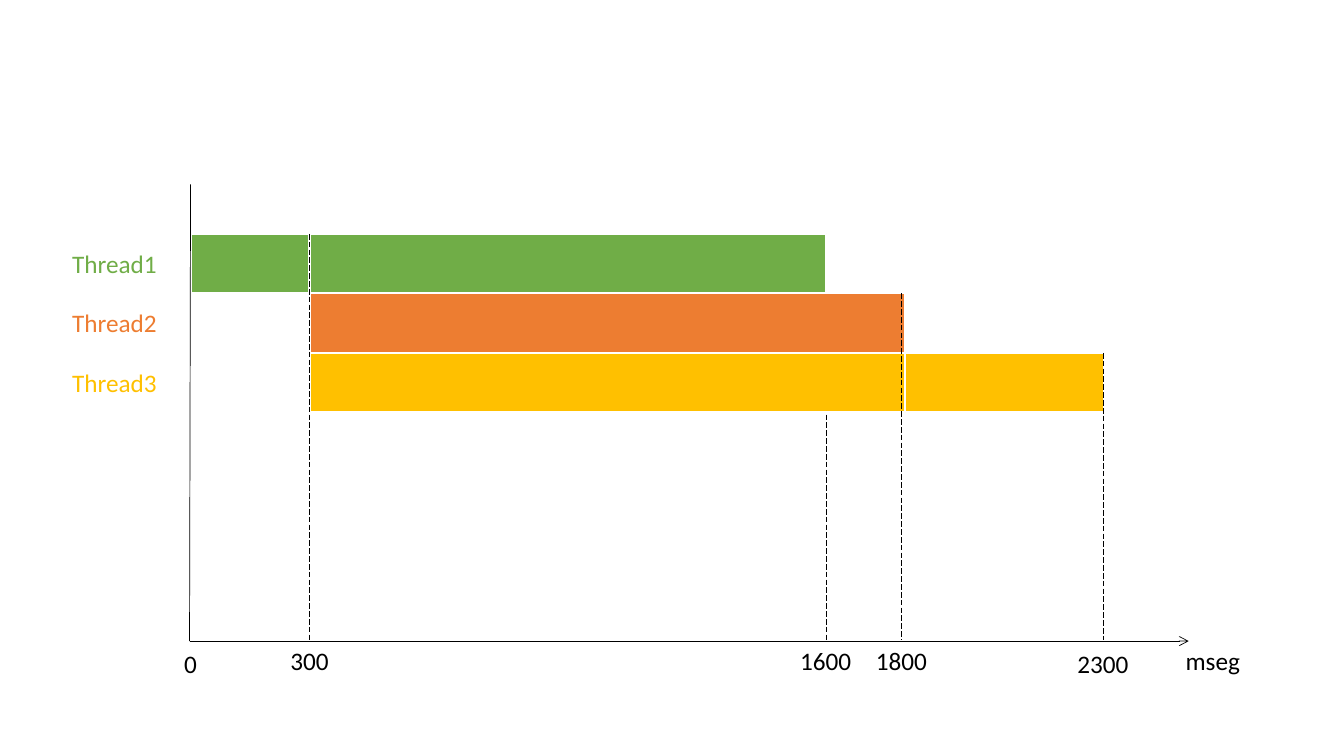
from dataclasses import dataclass

from lxml import etree
from pptx import Presentation
from pptx.dml.color import RGBColor
from pptx.enum.dml import MSO_LINE
from pptx.enum.shapes import MSO_CONNECTOR, MSO_SHAPE
from pptx.enum.text import MSO_AUTO_SIZE, PP_ALIGN
from pptx.oxml.ns import qn
from pptx.slide import Slide
from pptx.util import Inches, Pt

RECT = MSO_SHAPE.RECTANGLE
STRAIGHT = MSO_CONNECTOR.STRAIGHT
DASH = MSO_LINE.LONG_DASH
GROW = MSO_AUTO_SIZE.SHAPE_TO_FIT_TEXT
CENTER, LEFT = PP_ALIGN.CENTER, PP_ALIGN.LEFT

BLACK, WHITE = "000000", "FFFFFF"
GREEN, ORANGE, GOLD = "70AD47", "ED7D31", "FFC000"
ROW_TOP, ROW_H = 2.32, 0.59
AXIS_Y, TICK_END = 6.36, 6.35


@dataclass
class Bar:
    row: int
    left: float
    width: float
    fill: str


@dataclass
class Line:
    x1: float
    y1: float
    x2: float
    y2: float
    dash: bool = False
    arrow: bool = False


@dataclass
class Label:
    text: str
    left: float
    top: float
    width: float
    color: str = BLACK
    align: PP_ALIGN = CENTER


def color(code: str) -> RGBColor:
    return RGBColor.from_string(code)


def row_top(row: int) -> float:
    return ROW_TOP + row * ROW_H


def tick(x: float, row: int) -> Line:
    return Line(x, row_top(row), x, TICK_END, dash=True)


def apply(target: object, values: dict) -> None:
    for name, value in values.items():
        setattr(target, name, value)


def draw_bar(slide: Slide, bar: Bar) -> None:
    shape = slide.shapes.add_shape(
        RECT, Inches(bar.left), Inches(row_top(bar.row)),
        Inches(bar.width), Inches(ROW_H))
    shape.shadow.inherit = False
    shape.fill.solid()
    shape.fill.fore_color.rgb = color(bar.fill)
    shape.line.color.rgb = color(WHITE)
    shape.line.width = Pt(1.5)


def draw_line(slide: Slide, line: Line) -> None:
    link = slide.shapes.add_connector(
        STRAIGHT, Inches(line.x1), Inches(line.y1),
        Inches(line.x2), Inches(line.y2))
    link.line.color.rgb = color(BLACK)
    link.line.width = Pt(0.5)
    if line.dash:
        link.line.dash_style = DASH
    if line.arrow:
        etree.SubElement(link.line._get_or_add_ln(), qn("a:tailEnd"), type="arrow")
    etree.SubElement(link._element.spPr, qn("a:effectLst"))


def draw_label(slide: Slide, label: Label) -> None:
    box = slide.shapes.add_textbox(
        Inches(label.left), Inches(label.top), Inches(label.width), Inches(0.4))
    apply(box.text_frame, {"word_wrap": False, "auto_size": GROW})
    para = box.text_frame.paragraphs[0]
    para.alignment = label.align
    run = para.add_run()
    run.text = label.text
    apply(run.font, {"name": "Calibri", "size": Pt(18)})
    run.font.color.rgb = color(label.color)


# The 1600 tick lies behind the bars
BACK = tick(8.2, 0)
BARS = [
    Bar(0, 1.89, 1.18, GREEN),
    Bar(0, 3.07, 5.12, GREEN),
    Bar(2, 8.98, 1.97, GOLD),
    Bar(1, 3.07, 5.91, ORANGE),
    Bar(2, 3.07, 5.91, GOLD),
]
# Axes, then the ticks in front
LINES = [
    Line(1.89, 1.83, 1.88, AXIS_Y),
    Line(1.88, AXIS_Y, 11.79, AXIS_Y, arrow=True),
    tick(8.94, 1),
    tick(10.94, 2),
    tick(3.07, 0),
]
LABELS = [
    Label("300", 2.76, 6.35, 0.62),
    Label("1800", 8.58, 6.35, 0.72),
    Label("1600", 7.83, 6.35, 0.72),
    Label("2300", 10.58, 6.38, 0.72),
    Label("0", 1.58, 6.38, 0.62),
    *(Label(f"Thread{row + 1}", 0.61, row_top(row) + 0.09, 1.05, tint)
      for row, tint in enumerate((GREEN, ORANGE, GOLD))),
    Label("mseg", 11.66, 6.35, 0.78, align=LEFT),
]


def main() -> None:
    deck = Presentation()
    apply(deck, {"slide_width": Inches(13.33), "slide_height": Inches(7.5)})
    slide = deck.slides.add_slide(deck.slide_layouts[6])
    draw_line(slide, BACK)
    for bar in BARS:
        draw_bar(slide, bar)
    for line in LINES:
        draw_line(slide, line)
    for label in LABELS:
        draw_label(slide, label)
    deck.save("out.pptx")


if __name__ == "__main__":
    main()
